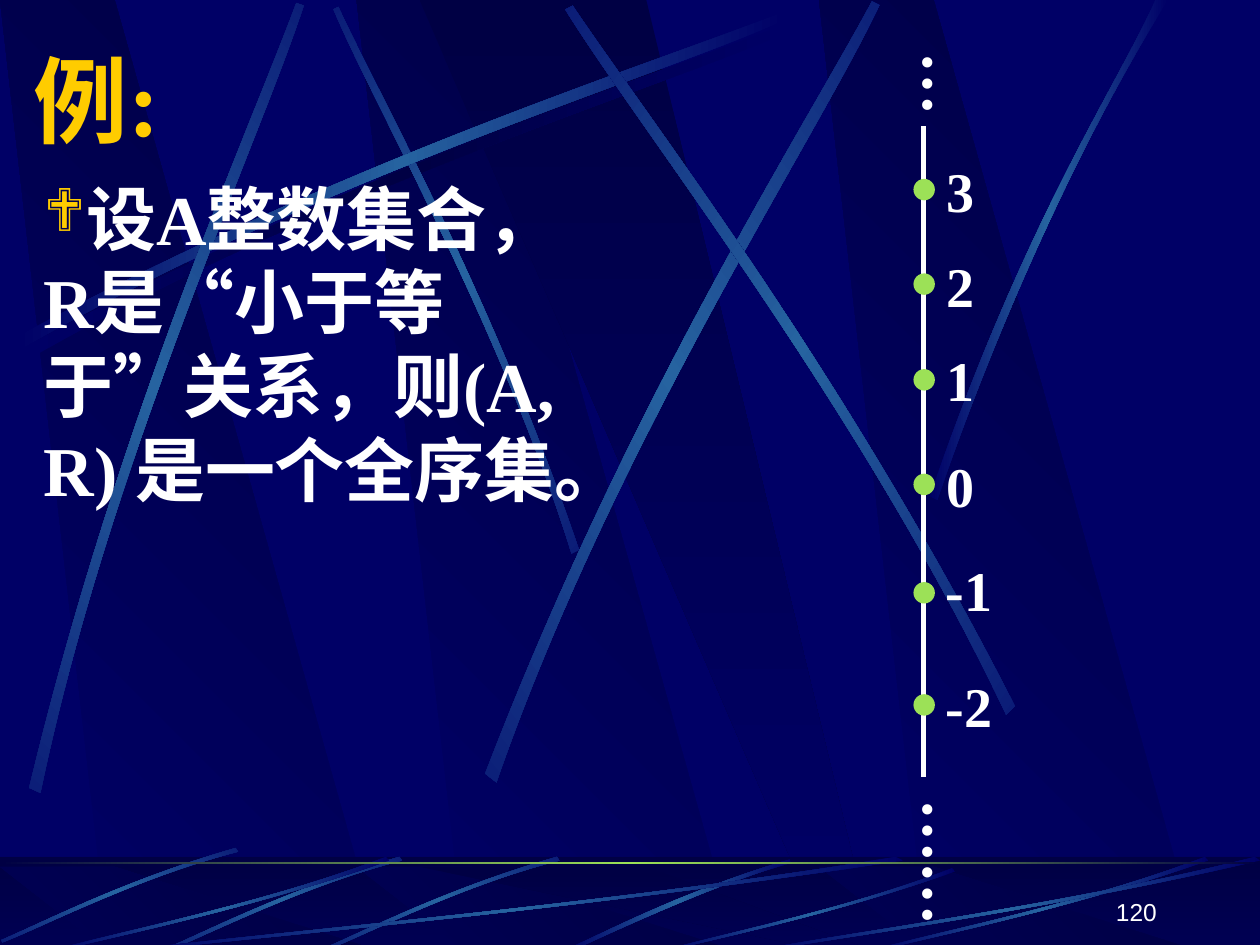
"""Build a slide showing the integers as a totally ordered set."""
from copy import deepcopy
from math import cos, radians, sin

from lxml import etree
from pptx import Presentation
from pptx.dml.color import RGBColor
from pptx.enum.shapes import MSO_CONNECTOR, MSO_SHAPE
from pptx.enum.text import MSO_ANCHOR, PP_ALIGN
from pptx.oxml.ns import qn
from pptx.util import Inches, Pt

RECTANGLE, OVAL = MSO_SHAPE.RECTANGLE, MSO_SHAPE.OVAL
STRAIGHT = MSO_CONNECTOR.STRAIGHT
MIDDLE, BOTTOM, RIGHT = MSO_ANCHOR.MIDDLE, MSO_ANCHOR.BOTTOM, PP_ALIGN.RIGHT

NAVY, DARK, BLUE = "000066", "000044", "2663A0"
GREEN, GOLD, WHITE = "9CE157", "FFCC00", "FFFFFF"
SERIF, SANS, CHINESE, SYMBOLS = "Times New Roman", "Arial", "Noto Sans CJK SC", "Wingdings"

TITLE = "例:"
BODY = [("设A整数集合，R是“小于等于”关系，则(A, R) ", SERIF), ("是一个全序集。", CHINESE)]
PAGE_NUMBER = "120"
INTEGERS = [("3", 1.42, 1.09), ("2", 2.17, 1.84), ("1", 2.93, 2.59),
            ("0", 3.76, 3.43), ("-1", 4.62, 4.25), ("-2", 5.51, 5.17)]
ELLIPSES = [("…", 0.32, 0.6), ("……", 6.25, 1.1)]
AXIS, AXIS_TOP, AXIS_BOTTOM, DOT = 7.33, 1, 6.17, 0.17

PANEL_LEFTS = [2.83, 0, 6.5]
PANEL = [(0.86, 1), (3.02, 1), (0.91, 0), (0, 0)]
WEDGE = [(3.33, 0), (6.58, 1), (6.94, 1), (5.13, 0)]
BANDS = [(0, 7.52), (6.88, 0.67)]
FLOOR = (0, 6.8, 10, 0.75)

GLOW, SHADE = (NAVY, BLUE, NAVY), (NAVY, DARK, NAVY)
STREAKS = [
    ([(0.2, 2.75), (2.84, 1.34), (5.24, 0.59), (6.26, 0.18),
      (6.29, 0.24), (5.28, 0.69), (2.54, 1.51), (0.23, 2.85)], SHADE, 0, (0, 0)),
    ([(4.6, 4.36), (3.91, 2.34), (3.02, 0.77), (2.69, 0.05),
      (2.65, 0.07), (2.95, 0.79), (3.98, 2.58), (4.54, 4.39)], GLOW, 45, (3.62, 2.23)),
    ([(0.14, 2.67), (2.78, 1.25), (5.18, 0.51), (6.2, 0.1),
      (6.23, 0.16), (5.22, 0.61), (2.48, 1.43), (0.17, 2.77)], GLOW, 0, (0, 0)),
    ([(0.23, 6.25), (0.93, 3.34), (1.97, 1.05), (2.35, 0.02),
      (2.41, 0.04), (2.07, 1.09), (0.86, 3.68), (0.32, 6.29)], GLOW, 311.7, (1.33, 3.16)),
    ([(3.85, 6.14), (4.98, 3.2), (6.38, 1.02), (6.92, 0.01),
      (6.98, 0.04), (6.49, 1.08), (4.86, 3.55), (3.94, 6.21)], GLOW, 321.6, (5.43, 3.11)),
    ([(8.06, 5.6), (6.7, 2.93), (5.16, 0.95), (4.55, 0.04),
      (4.49, 0.07), (5.07, 1.01), (6.85, 3.25), (7.99, 5.67)], GLOW, 34.7, (6.27, 2.86)),
    ([(7.38, 3.94), (8.14, 1.73), (8.88, 0.66), (9.17, 0),
      (9.27, 0), (8.36, 1.45), (7.69, 3.22), (7.44, 3.97)], GLOW, 0, (0, 0)),
]
FLOOR_STREAK = [(6.27, 6.82), (5.37, 7.09), (4.77, 7.42), (4.48, 7.54),
                (4.53, 7.55), (4.9, 7.38), (5.71, 7), (6.28, 6.85)]
ARC = [(1.86, 0), (0.99, 0.25), (0.31, 0.6), (0, 0.73),
       (0.01, 0.75), (0.32, 0.63), (1.09, 0.23), (1.88, 0.03)]
ARC_ORIGINS = [(2.56, 6.8), (1.31, 6.8), (0.01, 6.73)]
ARC_TURN, ARC_CENTER = 315, (0.94, 0.38)
SWEEP = [(1, 0.04), (0.57, 0.57), (0.17, 0.85), (0.01, 1),
         (0, 0.99), (0.17, 0.81), (0.62, 0.51), (0.99, 0)]
SWEEP_FRAMES = [(1, 6.8, 6.17, 0.75), (0.42, 6.8, 2.67, 0.75), (5.27, 6.89, 2.31, 0.66),
                (6.92, 6.8, 2.67, 0.75), (6, 6.8, 4, 0.75)]


def color(value):
    return RGBColor.from_string(value)


def place(points, left, top, width=1, height=1):
    return [(left + x * width, top + y * height) for x, y in points]


def turn(points, degrees, center):
    c, s = cos(radians(degrees)), sin(radians(degrees))
    moved = place(points, -center[0], -center[1])
    return place([(x * c - y * s, x * s + y * c) for x, y in moved], *center)


def paint(shape, colors, angle=0):
    shape.shadow.inherit = False
    shape.line.fill.background()
    if len(colors) == 1:
        shape.fill.solid()
        shape.fill.fore_color.rgb = color(colors[0])
        return
    shape.fill.gradient()
    shape.fill.gradient_angle = angle
    stops = shape._element.spPr.find(qn("a:gradFill")).find(qn("a:gsLst"))
    for _ in colors[2:]:
        stops.append(deepcopy(stops[0]))
    for index, (stop, value) in enumerate(zip(shape.fill.gradient_stops, colors)):
        stop.position = index / (len(colors) - 1)
        stop.color.rgb = color(value)


def add_outline(page, points, colors, angle=0):
    corners = [(Inches(x), Inches(y)) for x, y in points]
    builder = page.shapes.build_freeform(*corners[0])
    builder.add_line_segments(corners[1:], close=True)
    shape = builder.convert_to_shape()
    paint(shape, colors, angle)
    return shape


def add_ribbon(page, points, colors=GLOW, rotation=0, center=(0, 0)):
    """Draw two cubic edges, given as four points each, joined by straight ends."""
    shape = add_outline(page, turn(points, -rotation, center), colors)
    shape.rotation = rotation
    lines = list(shape._element.iter(qn("a:lnTo")))
    for edge in (lines[:3], lines[4:7]):
        bend = etree.Element(qn("a:cubicBezTo"))
        edge[0].addprevious(bend)
        for line in edge:
            bend.append(line[0])
            line.getparent().remove(line)


def add_preset(page, kind, frame, colors, angle=0):
    shape = page.shapes.add_shape(kind, *map(Inches, frame))
    paint(shape, colors, angle)
    return shape


def add_text(page, frame, runs, size, fill=WHITE, bold=True, wrap=False):
    box = page.shapes.add_textbox(*map(Inches, frame))
    box.text_frame.word_wrap = wrap
    para = box.text_frame.paragraphs[0]
    for text, font in runs:
        span = para.add_run()
        span.text = text
        span.font.name, span.font.size, span.font.bold = font, Pt(size), bold
        span.font.color.rgb = color(fill)
        etree.SubElement(span._r.get_or_add_rPr(), qn("a:ea"), typeface=CHINESE)
    return box, para


def add_axis_text(page, frame, text, size):
    box, para = add_text(page, frame, [(text, SERIF)], size)
    para.line_spacing, para.space_before = 1.2, Pt(size * 0.1)
    return box


def add_bullet(para):
    properties = para._p.get_or_add_pPr()
    tint = etree.SubElement(properties, qn("a:buClr"))
    etree.SubElement(tint, qn("a:srgbClr"), val=GOLD)
    etree.SubElement(properties, qn("a:buSzPct"), val="85000")
    etree.SubElement(properties, qn("a:buFont"), typeface=SYMBOLS)
    etree.SubElement(properties, qn("a:buChar"), char="❖")


def draw_panels(page, band):
    top, height = band
    for left in PANEL_LEFTS:
        add_outline(page, place(PANEL, left, top, 1, height), (NAVY, DARK), 45)
    add_outline(page, place(WEDGE, 0, top, 1, height), (DARK, NAVY), 270)


def draw_background(page):
    page.background.fill.solid()
    page.background.fill.fore_color.rgb = color(NAVY)
    draw_panels(page, BANDS[0])
    for streak in STREAKS:
        add_ribbon(page, *streak)
    add_preset(page, RECTANGLE, FLOOR, (DARK, NAVY), 270)
    draw_panels(page, BANDS[1])
    veil = add_preset(page, RECTANGLE, FLOOR, (DARK,))
    tint = veil._element.spPr.find(qn("a:solidFill"))[0]
    etree.SubElement(tint, qn("a:alpha"), val="50000")
    add_ribbon(page, FLOOR_STREAK)
    for origin in ARC_ORIGINS:
        add_ribbon(page, place(ARC, *origin), GLOW, ARC_TURN, place([ARC_CENTER], *origin)[0])
    for frame in SWEEP_FRAMES:
        add_ribbon(page, place(SWEEP, *frame))
    add_preset(page, RECTANGLE, (0, 6.84, 10, 0.02), (DARK, GREEN, DARK))


def draw_axis(page):
    ends = [Inches(value) for value in (AXIS, AXIS_TOP, AXIS, AXIS_BOTTOM)]
    axis = page.shapes.add_connector(STRAIGHT, *ends)
    axis.line.color.rgb, axis.line.width = color(WHITE), Pt(3)
    etree.SubElement(axis._element.spPr, qn("a:effectLst"))
    for label, top, label_top in INTEGERS:
        add_preset(page, OVAL, (7.25, top, DOT, DOT), (GREEN,))
        width = 0.42 if len(label) == 1 else 0.57
        add_axis_text(page, (7.41, label_top, width, 0.74), label, 32)
    for text, top, height in ELLIPSES:
        box = add_axis_text(page, (7.08, top, 0.92, height), text, 36)
        box.text_frame._txBody.bodyPr.set("vert", "eaVert")


def main():
    deck = Presentation()
    deck.slide_width, deck.slide_height = Inches(10), Inches(7.5)
    page = deck.slides.add_slide(deck.slide_layouts[6])
    draw_background(page)
    box, _ = add_text(page, (0.17, 0.28, 9.5, 1), [(TITLE, SERIF)], 54, GOLD, wrap=True)
    box.text_frame.vertical_anchor = MIDDLE
    _, para = add_text(page, (0.25, 1.34, 4.44, 5.67), BODY, 40, wrap=True)
    para.line_spacing, para.space_before = Pt(48), Pt(8)
    add_bullet(para)
    draw_axis(page)
    box, para = add_text(page, (7.2, 6.9, 2.08, 0.5), [(PAGE_NUMBER, SANS)], 14, bold=False, wrap=True)
    box.text_frame.vertical_anchor, para.alignment = BOTTOM, RIGHT
    deck.save("out.pptx")


if __name__ == "__main__":
    main()
